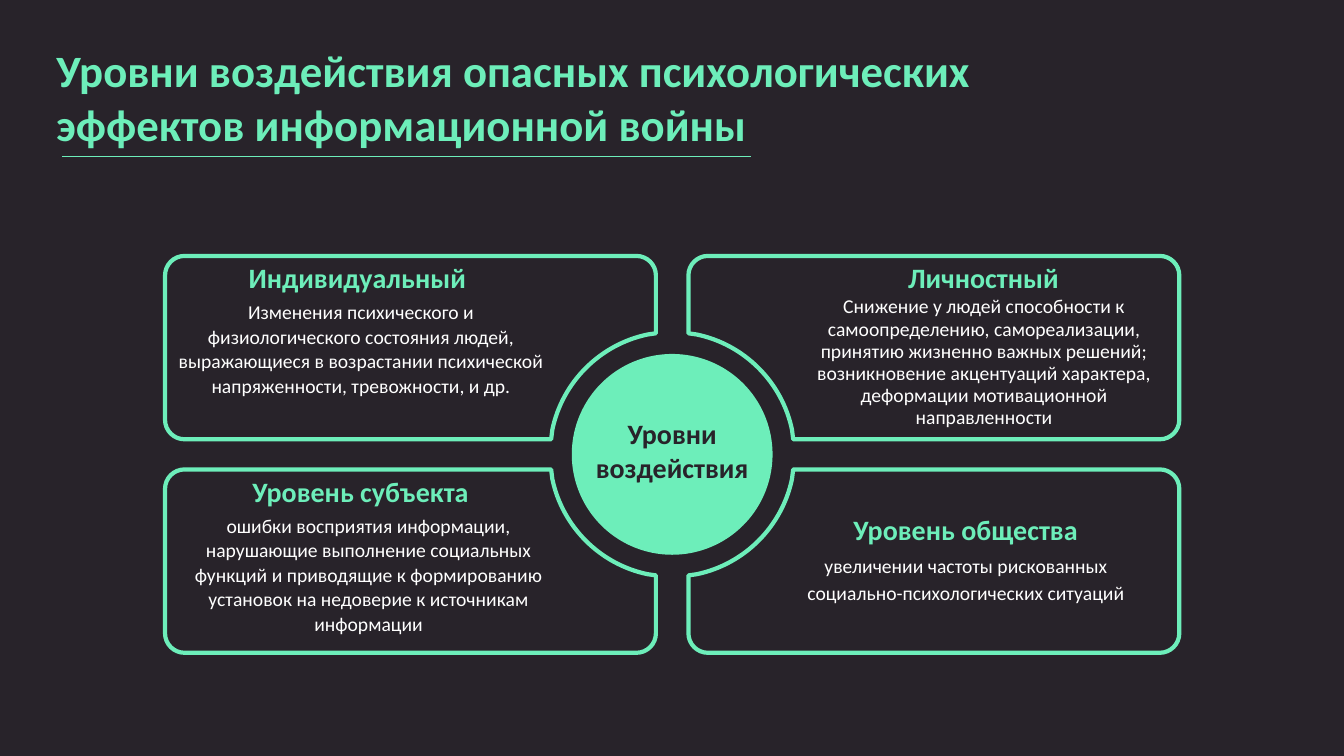
"""Builds the slide on the levels of psychological impact of information war."""
from collections import namedtuple

from lxml import etree
from pptx import Presentation
from pptx import util as u
from pptx.dml.color import RGBColor
from pptx.enum import shapes, text
from pptx.oxml.ns import qn

COLORS = {"dark": "28232A", "mint": "6DEEBA", "white": "FFFFFF"}
FONT = "Calibri"
Box = namedtuple("Box", "left top width height")
Level = namedtuple("Level", "side row heading heading_at body body_box spacing")

CENTER_X, CENTER_Y = 16.94, 11.45
GAP_X, GAP_Y = 0.41, 0.38
PANEL_WIDTH, PANEL_HEIGHT = 12.37, 4.62
CORNER, HANDLE, DISC = 0.49, 0.22, 2.53
HEADING_WIDTH, HEADING_HEIGHT = 6.65, 1.12

LEVELS = [
    Level(-1, -1, "Индивидуальный ", (1.6, 0),
          "Изменения психического и физиологического состояния людей, "
          "выражающиеся в возрастании психической напряженности, тревожности, и др.",
          Box(0, 0.97, 9.88, 2.74), 1.04),
    Level(1, -1, "Личностный", (4.11, 0),
          "Снижение у людей способности к самоопределению, самореализации, "
          "принятию жизненно важных решений; возникновение акцентуаций характера, "
          "деформации мотивационной направленности",
          Box(2.51, 0.89, 9.88, 4.34), 0.94),
    Level(-1, 1, "Уровень субъекта", (1.6, 0),
          "ошибки восприятия информации, нарушающие выполнение социальных функций "
          "и приводящие к формированию установок на недоверие к источникам информации",
          Box(0.2, 0.97, 9.86, 3.35), 1.04),
    Level(1, 1, "Уровень общества", (3.66, 0.97),
          "увеличении частоты рискованных социально-психологических ситуаций",
          Box(2.13, 1.93, 9.73, 1.63), 1.14),
]


def color(name):
    """Return the named colour."""
    return RGBColor.from_string(COLORS[name])


def add_text(page, box, words, size, shade, bold=False, centered=True, spacing=None):
    """Place one wrapped paragraph in the box."""
    frame = page.shapes.add_textbox(*map(u.Cm, box)).text_frame
    frame.word_wrap = True
    para = frame.paragraphs[0]
    para.alignment = text.PP_ALIGN.CENTER if centered else text.PP_ALIGN.LEFT
    para.line_spacing = spacing
    span = para.add_run()
    span.text = words
    span.font.name = FONT
    span.font.size = u.Pt(size)
    span.font.bold = bold
    span.font.color.rgb = color(shade)


def panel_outline():
    """Return the outline's steps, outward from the disc centre; three points make a curve."""
    right, far = GAP_X + PANEL_WIDTH, GAP_Y + PANEL_HEIGHT
    return [
        [(3.05, GAP_Y)],
        [(right - CORNER, GAP_Y)],
        [(right - HANDLE, GAP_Y), (right, GAP_Y + HANDLE), (right, GAP_Y + CORNER)],
        [(right, far - CORNER)],
        [(right, far - HANDLE), (right - HANDLE, far), (right - CORNER, far)],
        [(GAP_X + CORNER, far)],
        [(GAP_X + HANDLE, far), (GAP_X, far - HANDLE), (GAP_X, far - CORNER)],
        [(GAP_X, 3.05)],
        [(0.62, 3.02)],
        [(1.82, 2.77), (2.77, 1.82), (3.02, 0.62)],
    ]


def add_outline(page, side, row):
    """Draw the notched outline mirrored into its quadrant."""
    steps = [[(u.Cm(CENTER_X + side * x), u.Cm(CENTER_Y + row * y)) for x, y in step]
             for step in panel_outline()]
    builder = page.shapes.build_freeform(*steps[0][0])
    builder.add_line_segments([point for step in steps[1:] for point in step])
    outline = builder.convert_to_shape()
    segments = iter(list(outline.element.iter(qn("a:lnTo"))))
    for step in steps[1:]:
        parts = [next(segments) for _ in step]
        if len(parts) == 3:
            curve = etree.Element(qn("a:cubicBezTo"))
            parts[0].addprevious(curve)
            for part in parts:
                curve.append(part[0])
                part.getparent().remove(part)
    return outline


def add_title(page, box):
    """Place the slide title and the rule beneath it."""
    rule_y = u.Cm(box.top + 2.99)
    rule = page.shapes.add_connector(
        shapes.MSO_CONNECTOR.STRAIGHT,
        u.Cm(box.left + 0.4), rule_y, u.Cm(box.left + 17.75), rule_y)
    rule.line.color.rgb = color("mint")
    rule.line.width = u.Pt(0.75)
    etree.SubElement(rule.element.spPr, qn("a:effectLst"))
    add_text(page, box, "Уровни воздействия опасных психологических "
             "эффектов информационной войны", 32, "mint", bold=True, centered=False)


def add_panel(page, box, level):
    """Place one notched panel with its heading and description."""
    outline = add_outline(page, level.side, level.row)
    outline.shadow.inherit = False
    outline.fill.background()
    outline.line.color.rgb = color("mint")
    outline.line.width = u.Pt(3)
    x, y = level.heading_at
    add_text(page, Box(box.left + x, box.top + y, HEADING_WIDTH, HEADING_HEIGHT),
             level.heading, 20, "mint", bold=True)
    body = level.body_box
    add_text(page, body._replace(left=box.left + body.left, top=box.top + body.top),
             level.body, 14, "white", spacing=level.spacing)


def add_hub(page, box):
    """Place the central disc and its label."""
    disc = page.shapes.add_shape(shapes.MSO_SHAPE.OVAL, *map(u.Cm, box))
    disc.shadow.inherit = False
    disc.fill.solid()
    disc.fill.fore_color.rgb = color("mint")
    disc.line.fill.background()
    label_left = box.left + (box.width - HEADING_WIDTH) / 2
    add_text(page, Box(label_left, box.top + 1.46, HEADING_WIDTH, 1.96),
             "Уровни воздействия", 20, "dark", bold=True)


def main():
    """Build and save the deck."""
    deck = Presentation()
    deck.slide_width, deck.slide_height = u.Cm(33.87), u.Cm(19.05)
    page = deck.slides.add_slide(deck.slide_layouts[6])
    page.background.fill.solid()
    page.background.fill.fore_color.rgb = color("dark")
    add_title(page, Box(1.17, 0.95, 25.9, 2.84))
    for level in LEVELS:
        left = CENTER_X + (GAP_X if level.side > 0 else -GAP_X - PANEL_WIDTH)
        top = CENTER_Y + (GAP_Y if level.row > 0 else -GAP_Y - PANEL_HEIGHT)
        add_panel(page, Box(left, top, PANEL_WIDTH, PANEL_HEIGHT), level)
    add_hub(page, Box(CENTER_X - DISC, CENTER_Y - DISC, 2 * DISC, 2 * DISC))
    deck.save("out.pptx")


if __name__ == "__main__":
    main()
